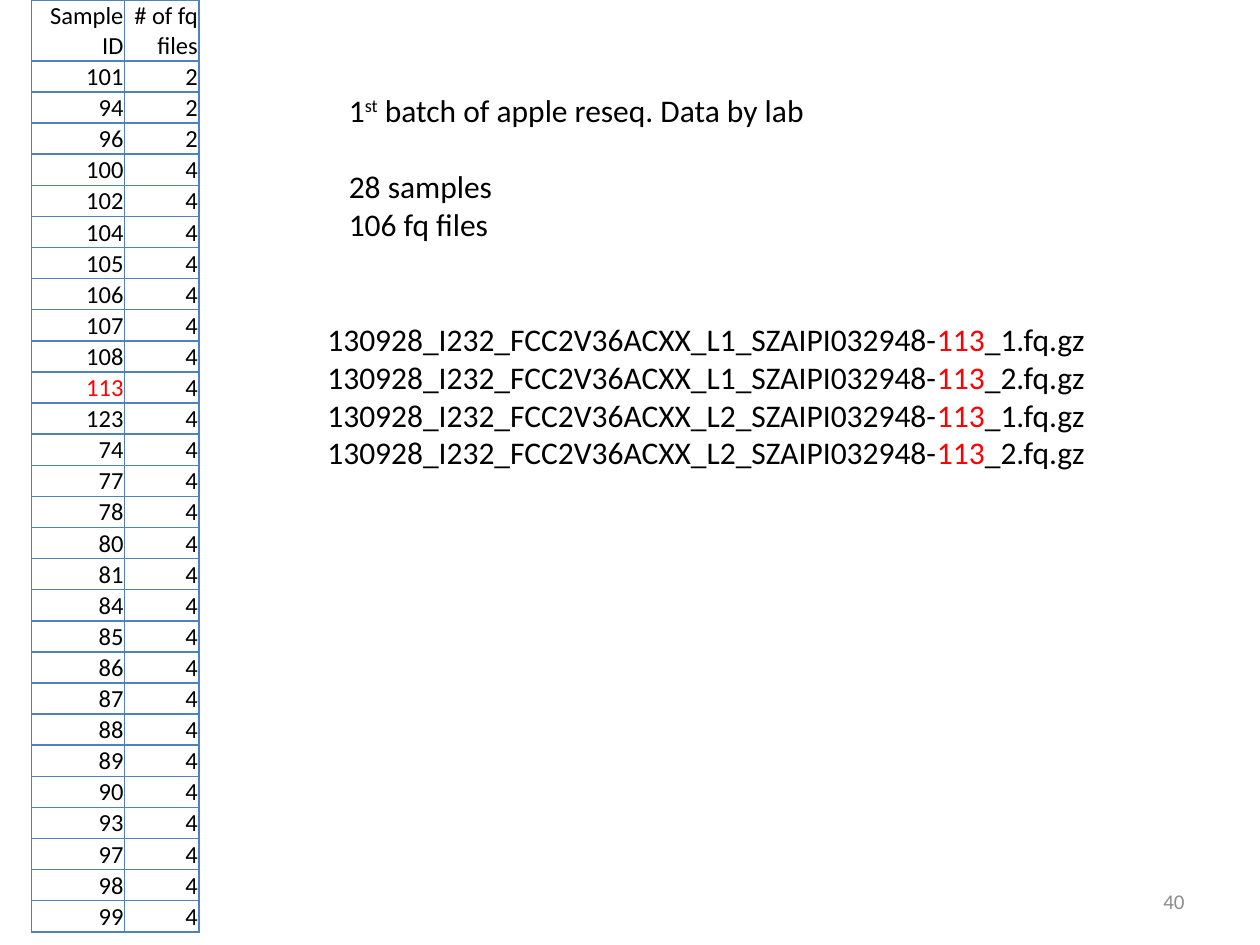
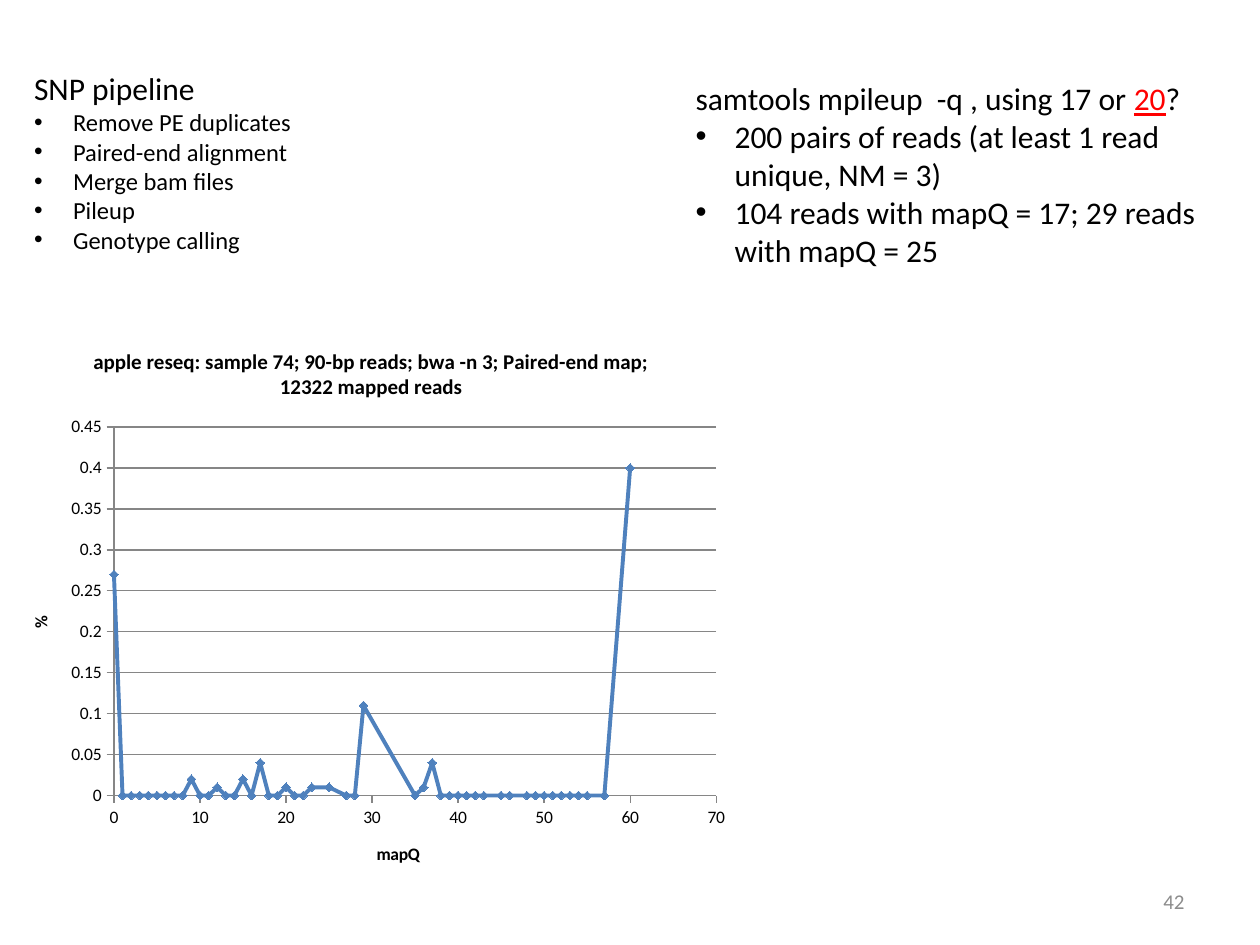
from lxml import etree
from pptx import Presentation
from pptx.chart.data import XyChartData
from pptx.dml.color import RGBColor
from pptx.enum.chart import XL_CHART_TYPE, XL_MARKER_STYLE, XL_TICK_MARK
from pptx.enum.text import MSO_ANCHOR, MSO_AUTO_SIZE, PP_ALIGN
from pptx.oxml.ns import qn
from pptx.util import Inches, Pt

RIGHT = PP_ALIGN.RIGHT
MIDDLE, BOTTOM = MSO_ANCHOR.MIDDLE, MSO_ANCHOR.BOTTOM
FIXED = MSO_AUTO_SIZE.NONE
SCATTER = XL_CHART_TYPE.XY_SCATTER_LINES
DIAMOND = XL_MARKER_STYLE.DIAMOND
OUT = XL_TICK_MARK.OUTSIDE
BLANK, TWO_LISTS = 6, 3

FONT = "Calibri"
COLORS = {"text": "000000", "mark": "FF0000", "page": "8C8C8C",
          "blue": "4F81BD", "grid": "868686"}
RED = {"color": "mark"}

IDS = [101, 94, 96, 100, 102, 104, 105, 106, 107, 108, 113, 123, 74, 77, 78,
       80, 81, 84, 85, 86, 87, 88, 89, 90, 93, 97, 98, 99]
PAIRS = 3  # leading samples that have two files; the rest have four
PICK = 113

GAPS = {24, 26, 30, 31, 32, 33, 34, 44, 47, 56, 58, 59}
SHARES = {0: 0.27, 9: 0.02, 12: 0.01, 15: 0.02, 17: 0.04, 20: 0.01, 23: 0.01,
          25: 0.01, 29: 0.11, 36: 0.01, 37: 0.04, 60: 0.4}


def rgb(name):
    return RGBColor.from_string(COLORS[name])


def sub(node, tag, **attrs):
    child = etree.SubElement(node, qn(tag))
    for key, value in attrs.items():
        child.set(key, str(value))
    return child


def style(font, size=18, color="text", bold=False, under=False):
    font.name, font.size, font.bold = FONT, Pt(size), bold
    font.underline = under
    font.color.rgb = rgb(color)


def write(para, runs, align=None, bullet=False, before=0, **fmt):
    """Fill a paragraph from a string or from (text, format) runs."""
    props = para._p.get_or_add_pPr()
    indent = Inches(0.31) if bullet else 0
    props.set("marL", str(indent))
    props.set("indent", str(-indent))
    if bullet:
        sub(props, "a:buFont", typeface="Arial")
        sub(props, "a:buChar", char="•")
    else:
        sub(props, "a:buNone")
    para.space_before = Pt(before)
    if align is not None:
        para.alignment = align
    for text, extra in [(runs, {})] if isinstance(runs, str) else runs:
        look = {**fmt, **extra}
        base = look.pop("base", 0)
        run = para.add_run()
        run.text = text
        style(run.font, **look)
        if base:
            run.font._element.set("baseline", str(base * 1000))


def fill(shape, box, paras, anchor=MSO_ANCHOR.TOP):
    """Place a shape and write its (runs, format) paragraphs."""
    shape.left, shape.top, shape.width, shape.height = map(Inches, box)
    frame = shape.text_frame
    frame.word_wrap, frame.auto_size = True, FIXED
    frame.vertical_anchor = anchor
    for i, (runs, fmt) in enumerate(paras):
        para = frame.add_paragraph() if i else frame.paragraphs[0]
        write(para, runs, **fmt)


def add_text(slide, box, paras, **kw):
    fill(slide.shapes.add_textbox(0, 0, 0, 0), box, paras, **kw)


def add_page(slide, number):
    add_text(slide, (7.17, 6.95, 2.33, 0.4),
             [(str(number), {"size": 12, "color": "page", "align": RIGHT})],
             anchor=MIDDLE)


def set_cell(cell, text, color="text"):
    cell.margin_left = cell.margin_right = cell.margin_top = Inches(0.01)
    cell.margin_bottom = 0
    cell.vertical_anchor = BOTTOM
    write(cell.text_frame.paragraphs[0], text, size=14, color=color,
          align=RIGHT)
    props = cell._tc.get_or_add_tcPr()
    for side in ("a:lnL", "a:lnR", "a:lnT", "a:lnB"):
        line = sub(props, side, w=Pt(1))
        sub(sub(line, "a:solidFill"), "a:srgbClr", val=COLORS["blue"])
    cell.fill.background()


def add_samples(slide, box):
    rows = [("Sample ID", "# of fq files")]
    rows += [(str(name), "2" if i < PAIRS else "4")
             for i, name in enumerate(IDS)]
    table = slide.shapes.add_table(len(rows), 2, *map(Inches, box)).table
    table.first_row = table.horz_banding = False
    for col, width in zip(table.columns, (0.74, 0.59)):
        col.width = Inches(width)
    head = 0.48
    step = (box[3] - head) / len(IDS)
    for r, row in enumerate(rows):
        table.rows[r].height = Inches(step if r else head)
        for c, text in enumerate(row):
            set_cell(table.cell(r, c), text,
                     "mark" if text == str(PICK) else "text")


def set_axis(axis, title, top, step):
    axis.minimum_scale, axis.maximum_scale = 0, top
    axis.major_unit = step
    axis.major_tick_mark = OUT
    axis.has_major_gridlines = False
    axis.tick_labels.number_format = "General"
    axis.tick_labels.number_format_is_linked = False
    axis.format.line.color.rgb = rgb("grid")
    axis.format.line.width = Pt(0.75)
    frame = axis.axis_title.text_frame
    write(frame.paragraphs[0], title, size=10, bold=True)


def set_plot(chart, **place):
    """Fix the inner plot area by fractions of the chart."""
    area = chart.element.find(".//" + qn("c:plotArea"))
    for old in area.findall(qn("c:layout")):
        area.remove(old)
    layout = sub(area, "c:layout")
    area.insert(0, layout)
    manual = sub(layout, "c:manualLayout")
    sub(manual, "c:layoutTarget", val="inner")
    sub(manual, "c:xMode", val="edge")
    sub(manual, "c:yMode", val="edge")
    for key, value in place.items():
        sub(manual, "c:" + key, val=value)


def add_quality(slide, box):
    data = XyChartData()
    points = data.add_series("Series 1")
    for x in range(61):
        if x not in GAPS:
            points.add_data_point(x, SHARES.get(x, 0))
    chart = slide.shapes.add_chart(SCATTER, *map(Inches, box), data).chart
    style(chart.font, size=10)
    chart.has_legend = False
    write(chart.chart_title.text_frame.paragraphs[0],
          "apple reseq: sample 74; 90-bp reads; bwa -n 3; "
          "Paired-end map; 12322 mapped reads", size=12, bold=True)
    set_axis(chart.category_axis, "mapQ", 70, 10)
    values = chart.value_axis
    set_axis(values, "%", 0.45, 0.05)
    values.axis_title.element.find(".//" + qn("a:bodyPr")).set(
        "rot", "-5400000")
    values.has_major_gridlines = True
    grid = values.major_gridlines.format.line
    grid.color.rgb, grid.width = rgb("grid"), Pt(0.75)
    plot = chart.plots[0]
    plot.vary_by_categories = False
    line = plot.series[0]
    line.smooth = False
    line.format.line.color.rgb = rgb("blue")
    line.format.line.width = Pt(2.25)
    line.marker.style, line.marker.size = DIAMOND, 5
    line.marker.format.fill.solid()
    line.marker.format.fill.fore_color.rgb = rgb("blue")
    line.marker.format.line.color.rgb = rgb("blue")
    set_plot(chart, x=0.15, y=0.18, w=0.82, h=0.65)


def batch_slide(deck):
    slide = deck.slides.add_slide(deck.slide_layouts[BLANK])
    add_page(slide, 40)
    add_samples(slide, (0.25, 0, 1.33, 7.26))
    add_text(slide, (2.67, 0.67, 4.83, 1.31), [
        ([("1", {}), ("st", {"base": 30}),
          (" batch of apple reseq. Data by lab", {})], {}),
        ("28 samples", {"before": 22}),
        ("106 fq files", {})])
    add_text(slide, (2.5, 2.49, 7.08, 1.31), [
        ([(f"130928_I232_FCC2V36ACXX_L{lane}_SZAIPI032948-", {}),
          (str(PICK), RED), (f"_{mate}.fq.gz", {})], {})
        for lane in (1, 2) for mate in (1, 2)])


def pipeline_slide(deck):
    slide = deck.slides.add_slide(deck.slide_layouts[TWO_LISTS])
    title, steps, query = slide.placeholders
    title.element.getparent().remove(title.element)
    add_page(slide, 42)
    fill(steps, (0.17, 0.5, 9.83, 1.82), [("SNP pipeline", {})] + [
        (step, {"bullet": True, "size": 14})
        for step in ("Remove PE duplicates", "Paired-end alignment",
                     "Merge bam files", "Pileup", "Genotype calling")])
    add_quality(slide, (0.03, 2.58, 5.83, 4.5))
    fill(query, (5.42, 0.58, 4.51, 1.92), [
        ([("samtools mpileup  -q , using 17 or ", {}),
          ("20", {**RED, "under": True}), ("?", {})], {}),
        ("200 pairs of reads (at least 1 read unique, NM = 3)",
         {"bullet": True}),
        ("104 reads with mapQ = 17; 29 reads with mapQ = 25",
         {"bullet": True})])


def main():
    deck = Presentation()
    deck.slide_width, deck.slide_height = Inches(10), Inches(7.5)
    batch_slide(deck)
    pipeline_slide(deck)
    deck.save("out.pptx")


if __name__ == "__main__":
    main()
